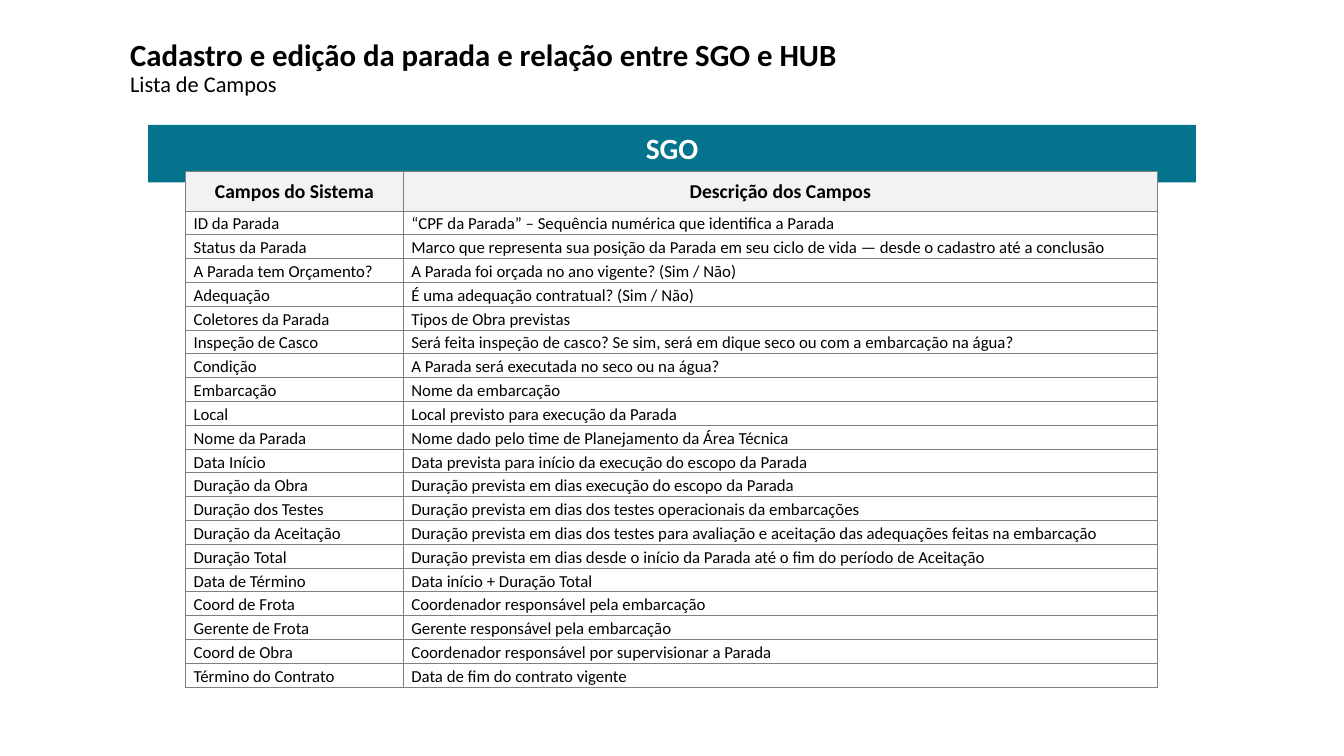
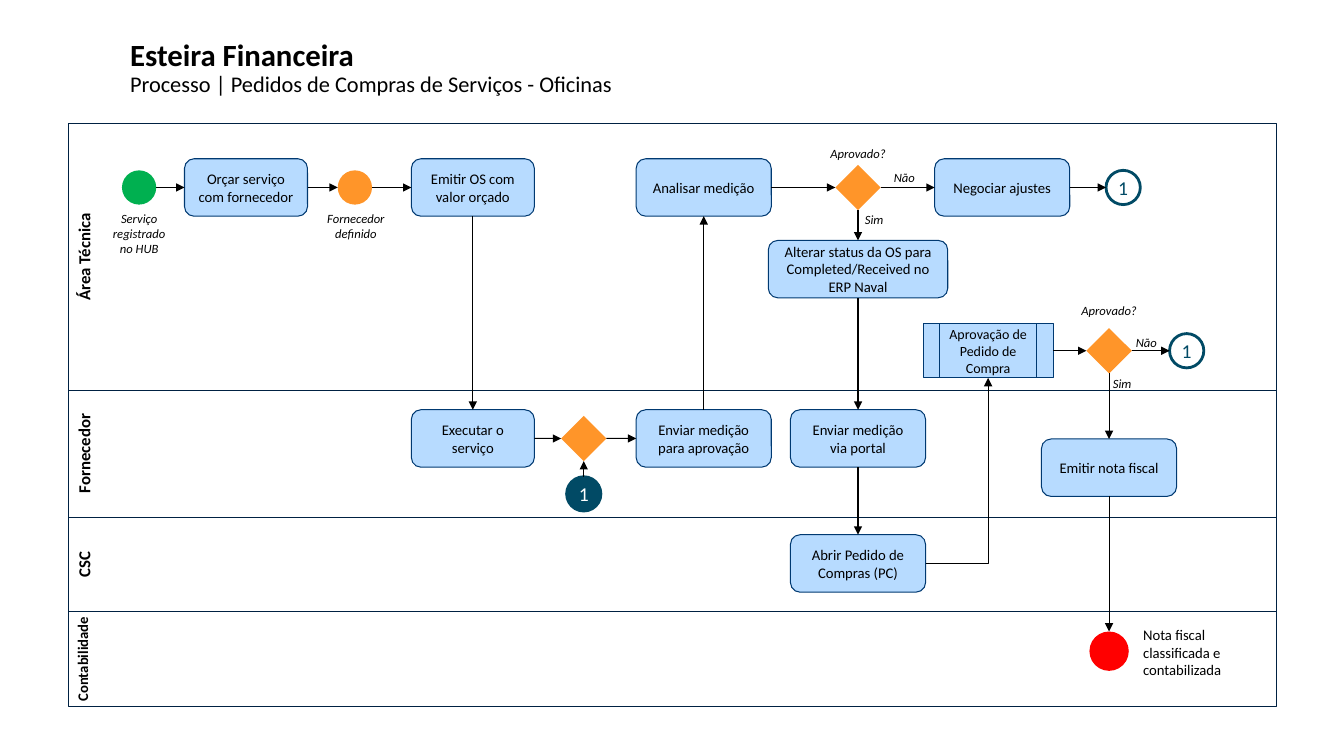
"""Build two slides: the SGO field list and the service purchase flow."""
from dataclasses import dataclass

from lxml.etree import SubElement
from pptx import Presentation
from pptx.dml.color import RGBColor
from pptx.enum.shapes import MSO_CONNECTOR as Link, MSO_SHAPE as Shape
from pptx.enum.text import MSO_ANCHOR as Anchor, MSO_AUTO_SIZE as AutoSize, PP_ALIGN as Align
from pptx.oxml.ns import qn
from pptx.util import Inches, Pt


@dataclass(frozen=True)
class Theme:
    """Colours, font and type sizes of both slides."""
    font: str = "Calibri"
    black: str = "000000"
    white: str = "FFFFFF"
    band: str = "03738E"
    header: str = "F2F2F2"
    grid: str = "808080"
    lane: str = "002142"
    task: str = "B7DBFF"
    task_line: str = "003971"
    orange: str = "FF9529"
    green: str = "00B050"
    red: str = "FF0000"
    navy: str = "014A65"
    title_size: float = 22
    subtitle_size: float = 16
    band_size: float = 21
    header_size: float = 14
    body_size: float = 12
    task_size: float = 10.5
    subprocess_size: float = 10
    label_size: float = 9
    hairline: float = 0.25
    thin: float = 0.75
    thick: float = 2


THEME = Theme()
TOP, LEFT, BOTTOM, RIGHT = range(4)

FIELDS_TITLE = ("Cadastro e edição da parada e relação entre SGO e HUB", "Lista de Campos")
FIELDS_BAND = "SGO"
FIELDS = [
    ("Campos do Sistema", "Descrição dos Campos"),
    ("ID da Parada", "“CPF da Parada” – Sequência numérica que identifica a Parada"),
    ("Status da Parada", "Marco que representa sua posição da Parada em seu ciclo de vida — desde o cadastro até a conclusão"),
    ("A Parada tem Orçamento?", "A Parada foi orçada no ano vigente? (Sim / Não)"),
    ("Adequação", "É uma adequação contratual? (Sim / Não)"),
    ("Coletores da Parada", "Tipos de Obra previstas"),
    ("Inspeção de Casco", "Será feita inspeção de casco? Se sim, será em dique seco ou com a embarcação na água?"),
    ("Condição", "A Parada será executada no seco ou na água?"),
    ("Embarcação", "Nome da embarcação"),
    ("Local", "Local previsto para execução da Parada"),
    ("Nome da Parada", "Nome dado pelo time de Planejamento da Área Técnica"),
    ("Data Início", "Data prevista para início da execução do escopo da Parada"),
    ("Duração da Obra", "Duração prevista em dias execução do escopo da Parada"),
    ("Duração dos Testes", "Duração prevista em dias dos testes operacionais da embarcações"),
    ("Duração da Aceitação", "Duração prevista em dias dos testes para avaliação e aceitação das adequações feitas na embarcação"),
    ("Duração Total", "Duração prevista em dias desde o início da Parada até o fim do período de Aceitação"),
    ("Data de Término", "Data início + Duração Total"),
    ("Coord de Frota", "Coordenador responsável pela embarcação"),
    ("Gerente de Frota", "Gerente responsável pela embarcação"),
    ("Coord de Obra", "Coordenador responsável por supervisionar a Parada"),
    ("Término do Contrato", "Data de fim do contrato vigente"),
]

FLOW_TITLE = ("Esteira Financeira", "Processo | Pedidos de Compras de Serviços - Oficinas")
LANES = [
    ("Área Técnica", 2.64, THEME.body_size),
    ("Fornecedor", 1.26, THEME.body_size),
    ("CSC", 0.94, THEME.body_size),
    ("Contabilidade", 0.94, THEME.task_size),
]

TASK = dict(shape=Shape.ROUNDED_RECTANGLE, height=0.57, fill=THEME.task,
            line=THEME.task_line, weight=THEME.thin, size=THEME.task_size, color=THEME.black)
EVENT = dict(shape=Shape.OVAL, width=0.34, height=0.34)
JUMP = dict(EVENT, line=THEME.navy, weight=THEME.thick, size=THEME.header_size, margin=0)
KINDS = {
    "task": dict(TASK, width=1.34),
    "short task": dict(TASK, width=1.22),
    "wide task": dict(TASK, width=1.78),
    "subprocess": dict(TASK, shape=Shape.FLOWCHART_PREDEFINED_PROCESS, width=1.29,
                       height=0.54, size=THEME.subprocess_size, margin=0.05),
    "decision": dict(shape=Shape.DIAMOND, width=0.45, height=0.45, fill=THEME.orange),
    "start": dict(EVENT, fill=THEME.green),
    "milestone": dict(EVENT, fill=THEME.orange),
    "end": dict(EVENT, width=0.39, height=0.39, fill=THEME.red),
    "jump": dict(JUMP, fill=THEME.white, color=THEME.navy),
    "landing": dict(JUMP, fill=THEME.navy, color=THEME.white),
}

STEPS = {
    "start": ("start", 1.38, 1.86, ""),
    "quote": ("short task", 2.44, 1.86, "Orçar serviço com fornecedor"),
    "supplier": ("milestone", 3.52, 1.86, ""),
    "order": ("short task", 4.69, 1.86, "Emitir OS com valor orçado"),
    "execute": ("short task", 4.69, 4.35, "Executar o serviço"),
    "merge": ("decision", 5.79, 4.35, ""),
    "landing": ("landing", 5.79, 4.9, "1"),
    "send": ("task", 6.98, 4.35, "Enviar medição para aprovação"),
    "analyse": ("task", 6.98, 1.86, "Analisar medição"),
    "measured": ("decision", 8.51, 1.86, ""),
    "negotiate": ("task", 9.94, 1.86, "Negociar ajustes"),
    "retry": ("jump", 11.14, 1.86, "1"),
    "status": ("wide task", 8.51, 2.67, "Alterar status da OS para Completed/Received no ERP Naval"),
    "upload": ("task", 8.51, 4.35, "Enviar medição via portal"),
    "purchase": ("task", 8.51, 5.59, "Abrir Pedido de Compras (PC)"),
    "approval": ("subprocess", 9.8, 3.48, "Aprovação de Pedido de Compra"),
    "approved": ("decision", 11, 3.48, ""),
    "refused": ("jump", 11.77, 3.48, "1"),
    "invoice": ("task", 11, 4.64, "Emitir nota fiscal"),
    "end": ("end", 11, 6.46, ""),
}

ARROWS = [
    ("start", RIGHT, "quote", LEFT),
    ("quote", RIGHT, "supplier", LEFT),
    ("supplier", RIGHT, "order", LEFT),
    ("order", BOTTOM, "execute", TOP),
    ("execute", RIGHT, "merge", LEFT),
    ("landing", TOP, "merge", BOTTOM),
    ("merge", RIGHT, "send", LEFT),
    ("send", TOP, "analyse", BOTTOM),
    ("analyse", RIGHT, "measured", LEFT),
    ("measured", RIGHT, "negotiate", LEFT),
    ("negotiate", RIGHT, "retry", LEFT),
    ("measured", BOTTOM, "status", TOP),
    ("status", BOTTOM, "upload", TOP),
    ("upload", BOTTOM, "purchase", TOP),
    ("purchase", RIGHT, "approval", BOTTOM),
    ("approval", RIGHT, "approved", LEFT),
    ("approved", RIGHT, "refused", LEFT),
    ("approved", BOTTOM, "invoice", TOP),
    ("invoice", BOTTOM, "end", TOP),
]

LABELS = [
    ("Serviço registrado no HUB", 1.38, 2.04, 0.85, 0.56),
    ("Fornecedor definido", 3.53, 2.04, 0.93, 0.4),
    ("Aprovado?", 8.51, 1.4, 1.22, 0.25),
    ("Não", 8.97, 1.64, 0.47, 0.25),
    ("Sim", 8.67, 2.05, 0.47, 0.25),
    ("Aprovado?", 11, 2.96, 1.22, 0.25),
    ("Não", 11.37, 3.27, 0.47, 0.25),
    ("Sim", 11.13, 3.68, 0.47, 0.25),
]
RESULT = "Nota fiscal classificada e contabilizada"


def apply(target, **values):
    """Set each named attribute on the target."""
    for name, value in values.items():
        setattr(target, name, value)


def style_font(font, size, color=THEME.black, bold=False, italic=False):
    """Give a font the theme face with its size, colour and weight."""
    apply(font, name=THEME.font, size=Pt(size), bold=bold, italic=italic)
    font.color.rgb = RGBColor.from_string(color)


def write(frame, text, size, align=Align.CENTER, anchor=Anchor.MIDDLE, margin=None, **font):
    """Put one formatted paragraph into a text frame."""
    apply(frame, word_wrap=True, vertical_anchor=anchor)
    if margin is not None:
        apply(frame, margin_left=Inches(margin), margin_right=Inches(margin),
              margin_top=Inches(margin), margin_bottom=Inches(margin))
    paragraph = frame.paragraphs[0]
    paragraph.alignment = align
    run = paragraph.add_run()
    run.text = text
    style_font(run.font, size, **font)


def add_block(slide, shape, box, fill=None, line=None, weight=THEME.thin):
    """Add a flat preset shape with optional fill and outline."""
    block = slide.shapes.add_shape(shape, *map(Inches, box))
    block.shadow.inherit = False
    for part, color in ((block.fill, fill), (block.line.fill, line)):
        if color:
            part.solid()
            part.fore_color.rgb = RGBColor.from_string(color)
        else:
            part.background()
    if line:
        block.line.width = Pt(weight)
    return block


def add_text(slide, text, box, size, rotation=0, **style):
    """Add a wrapped text box."""
    note = slide.shapes.add_textbox(*map(Inches, box))
    note.rotation = rotation
    write(note.text_frame, text, size, anchor=Anchor.TOP, **style)


def add_titled_slide(deck, heading, subtitle):
    """Add a title-only slide with a bold heading above a subtitle."""
    slide = deck.slides.add_slide(deck.slide_layouts[5])
    title = slide.shapes.title
    apply(title, left=Inches(1.19), top=Inches(0.33), width=Inches(11.47), height=Inches(0.71))
    frame = title.text_frame
    frame.auto_size = AutoSize.NONE
    write(frame, heading, THEME.title_size, align=Align.LEFT, bold=True)
    paragraph = frame.paragraphs[0]
    paragraph.line_spacing = 0.9
    paragraph.add_line_break()
    run = paragraph.add_run()
    run.text = subtitle
    style_font(run.font, THEME.subtitle_size)
    return slide


def format_cell(cell, text, is_header):
    """Write, border and fill one table cell."""
    properties = cell._tc.get_or_add_tcPr()
    for side in ("a:lnL", "a:lnR", "a:lnT", "a:lnB"):
        border = SubElement(properties, qn(side), w=str(Pt(THEME.hairline)))
        SubElement(SubElement(border, qn("a:solidFill")), qn("a:srgbClr"), val=THEME.grid)
    apply(cell, margin_left=Inches(0.01 if is_header else 0.08), margin_right=Inches(0.01),
          margin_top=Inches(0.01), margin_bottom=0,
          vertical_anchor=Anchor.MIDDLE if is_header else Anchor.BOTTOM)
    if is_header:
        cell.fill.solid()
        cell.fill.fore_color.rgb = RGBColor.from_string(THEME.header)
    else:
        cell.fill.background()
    paragraph = cell.text_frame.paragraphs[0]
    paragraph.alignment = Align.CENTER if is_header else Align.LEFT
    run = paragraph.add_run()
    run.text = text
    style_font(run.font, THEME.header_size if is_header else THEME.body_size, bold=is_header)


def add_fields(slide):
    """Draw the system band and its table of fields."""
    band = add_block(slide, Shape.RECTANGLE, (1.47, 1.24, 10.39, 0.57), THEME.band)
    write(band.text_frame, FIELDS_BAND, THEME.band_size, anchor=Anchor.TOP, color=THEME.white, bold=True)
    widths, height, header_height = (2.16, 7.48), 5.12, 0.39
    row_height = (height - header_height) / (len(FIELDS) - 1)
    table = slide.shapes.add_table(len(FIELDS), len(widths), *map(Inches, (1.84, 1.7, sum(widths), height))).table
    apply(table, first_row=False, horz_banding=False)
    for column, width in zip(table.columns, widths):
        column.width = Inches(width)
    for index, (row, texts) in enumerate(zip(table.rows, FIELDS)):
        row.height = Inches(row_height if index else header_height)
        for cell, text in zip(row.cells, texts):
            format_cell(cell, text, index == 0)


def add_lanes(slide):
    """Stack the swimlanes with their rotated names."""
    top, label_width, label_height = 1.23, 1.4, 0.3
    for name, height, size in LANES:
        add_block(slide, Shape.RECTANGLE, (0.68, top, 11.98, height), line=THEME.lane)
        label_top = top + (height - label_height) / 2
        add_text(slide, name, (0.83 - label_width / 2, label_top, label_width, label_height),
                 size, rotation=270, bold=True)
        top += height


def add_step(slide, kind, x, y, text):
    """Draw one flow step centred on a point."""
    look = KINDS[kind]
    width, height = look["width"], look["height"]
    step = add_block(slide, look["shape"], (x - width / 2, y - height / 2, width, height),
                     look["fill"], look.get("line"), look.get("weight"))
    if text:
        write(step.text_frame, text, look["size"], color=look["color"], margin=look.get("margin"))
    return step


def side_point(step, side):
    """Return the middle of one side of a step."""
    across, down = {TOP: (1, 0), LEFT: (0, 1), BOTTOM: (1, 2), RIGHT: (2, 1)}[side]
    return step.left + step.width * across // 2, step.top + step.height * down // 2


def add_arrow(slide, source, source_side, target, target_side):
    """Join two steps, with one bend where the sides are not opposite."""
    bent = (source_side - target_side) % 2 == 1
    arrow = slide.shapes.add_connector(Link.ELBOW if bent else Link.STRAIGHT,
                                       *side_point(source, source_side), *side_point(target, target_side))
    if source.auto_shape_type != Shape.OVAL:
        arrow.begin_connect(source, source_side)
    if target.auto_shape_type != Shape.OVAL:
        arrow.end_connect(target, target_side)
    arrow.line.color.rgb = RGBColor.from_string(THEME.black)
    arrow.line.width = Pt(THEME.thin)
    properties = arrow._element.spPr
    if bent:
        properties.find(qn("a:prstGeom")).set("prst", "bentConnector2")
    SubElement(properties.find(qn("a:ln")), qn("a:tailEnd"), type="triangle")
    SubElement(properties, qn("a:effectLst"))


def add_flow(slide):
    """Draw the lanes, steps, arrows and labels."""
    add_lanes(slide)
    steps = {key: add_step(slide, *step) for key, step in STEPS.items()}
    for source, source_side, target, target_side in ARROWS:
        add_arrow(slide, steps[source], source_side, steps[target], target_side)
    for text, x, top, width, height in LABELS:
        add_text(slide, text, (x - width / 2, top, width, height), THEME.label_size, italic=True)
    add_text(slide, RESULT, (11.24, 6.16, 1.44, 0.63), THEME.task_size, align=Align.LEFT)


def main():
    """Build and save the deck."""
    deck = Presentation()
    apply(deck, slide_width=Inches(13.33), slide_height=Inches(7.5))
    add_fields(add_titled_slide(deck, *FIELDS_TITLE))
    add_flow(add_titled_slide(deck, *FLOW_TITLE))
    deck.save("out.pptx")


if __name__ == "__main__":
    main()
